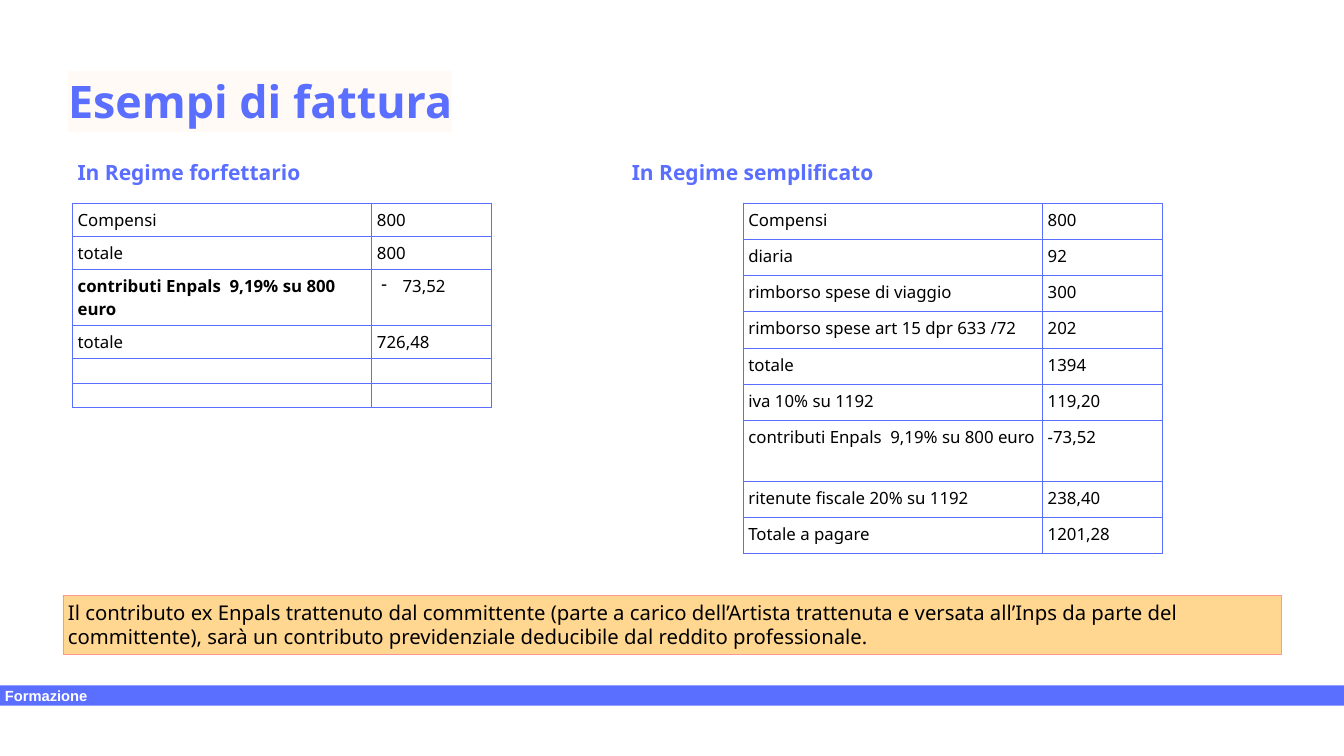
import pptx
import pptx.util
import pptx.dml.color
import pptx.enum.shapes
import pptx.enum.text
from dataclasses import dataclass
from lxml import etree
from pptx.oxml.ns import qn
from pptx.util import Inches


@dataclass(frozen=True)
class Theme:
    blue: str = "5A6EFF"
    black: str = "000000"
    white: str = "FFFFFF"
    highlight: str = "FFFAF5"
    note_fill: str = "FFD791"
    note_line: str = "FF9696"
    font: str = "Noto Sans"
    footer_font: str = "Arial"
    title_size: int = 64
    heading_size: int = 30
    note_size: int = 29
    table_size: int = 24
    footer_size: int = 21
    empty_size: int = 12


theme = Theme()
color = pptx.dml.color.RGBColor.from_string
anchors = pptx.enum.text.MSO_ANCHOR
rectangle = pptx.enum.shapes.MSO_SHAPE.RECTANGLE


def write(frame, text, size, ink, bold=False, font=theme.font, anchor=anchors.TOP):
    frame.word_wrap = True
    frame.auto_size = pptx.enum.text.MSO_AUTO_SIZE.NONE
    frame.vertical_anchor = anchor
    frame.margin_left = frame.margin_right = Inches(0.1)
    frame.margin_top = frame.margin_bottom = Inches(0.1)
    paragraph = frame.paragraphs[0]
    paragraph.alignment = pptx.enum.text.PP_ALIGN.LEFT
    run = paragraph.add_run()
    run.text = text
    run.font.size = pptx.util.Pt(size)
    run.font.bold = bold
    run.font.color.rgb = color(ink)
    run.font.name = font
    return run


def add_invoice(slide, left, rows):
    column_widths = [5.94, 2.38]
    total_height = sum(row[0] for row in rows)
    table = slide.shapes.add_table(
        len(rows), 2, Inches(left), Inches(4.03),
        Inches(sum(column_widths)), Inches(total_height),
    ).table
    table.first_row = table.horz_banding = False
    for column, width in zip(table.columns, column_widths):
        column.width = Inches(width)
    for row_index, (height, label, amount, bold) in enumerate(rows):
        table.rows[row_index].height = Inches(height)
        for column_index, text in enumerate([label, amount]):
            cell = table.cell(row_index, column_index)
            cell.margin_left = cell.margin_right = Inches(0.1)
            cell.margin_top = cell.margin_bottom = Inches(0.1)
            properties = cell._tc.get_or_add_tcPr()
            for side in ("a:lnL", "a:lnR", "a:lnT", "a:lnB"):
                border = etree.SubElement(properties, qn(side), w=str(pptx.util.Pt(1.5)))
                fill = etree.SubElement(border, qn("a:solidFill"))
                etree.SubElement(fill, qn("a:srgbClr"), val=theme.blue)
            cell.fill.background()
            paragraph = cell.text_frame.paragraphs[0]
            if not text:
                etree.SubElement(paragraph._p, qn("a:endParaRPr"), sz=str(theme.empty_size * 100))
                continue
            run = paragraph.add_run()
            run.text = text
            run.font.size = pptx.util.Pt(theme.table_size)
            run.font.name = theme.font
            run.font.color.rgb = color(theme.black)
            run.font.bold = bold and column_index == 0
    return table


presentation = pptx.Presentation()
presentation.slide_width = Inches(26.67)
presentation.slide_height = Inches(15)
slide = presentation.slides.add_slide(presentation.slide_layouts[5])

title = slide.shapes.title
title.left, title.top, title.width, title.height = [Inches(n) for n in (1.25, 1, 24.18, 1.83)]
title_run = write(title.text_frame, "Esempi di fattura", theme.title_size, theme.blue,
                  bold=True, anchor=anchors.MIDDLE)
title.text_frame.paragraphs[0].line_spacing = 1.15
highlight = etree.Element(qn("a:highlight"))
etree.SubElement(highlight, qn("a:srgbClr"), val=theme.highlight)
title_run.font._element.find(qn("a:solidFill")).addnext(highlight)

for left, text in [(1.44, "In Regime forfettario"), (12.44, "In Regime semplificato")]:
    heading = slide.shapes.add_textbox(Inches(left), Inches(3), Inches(9), Inches(0.9))
    write(heading.text_frame, text, theme.heading_size, theme.blue, bold=True)
    heading.text_frame.paragraphs[0].line_spacing = 1.15

flat_rate_table = add_invoice(slide, 1.44, [
    (0.66, "Compensi", "800", False),
    (0.66, "totale", "800", False),
    (1.1, "contributi Enpals  9,19% su 800 euro", "73,52", True),
    (0.66, "totale", "726,48", False),
    (0.48, "", "", False),
    (0.48, "", "", False),
])
deduction = flat_rate_table.cell(2, 1).text_frame.paragraphs[0]._p.get_or_add_pPr()
deduction.set("marL", str(Inches(0.51)))
deduction.set("indent", str(Inches(-0.42)))
etree.SubElement(deduction, qn("a:buChar"), char="-")

add_invoice(slide, 14.75, [
    (0.72, "Compensi", "800", False),
    (0.72, "diaria", "92", False),
    (0.72, "rimborso spese di viaggio", "300", False),
    (0.72, "rimborso spese art 15 dpr 633 /72", "202", False),
    (0.72, "totale", "1394", False),
    (0.72, "iva 10% su 1192", "119,20", False),
    (1.2, "contributi Enpals  9,19% su 800 euro", "-73,52", False),
    (0.72, "ritenute fiscale 20% su 1192", "238,40", False),
    (0.72, "Totale a pagare", "1201,28", False),
])

footer = slide.shapes.add_shape(rectangle, Inches(0), Inches(13.6), Inches(26.67), Inches(0.4))
footer.shadow.inherit = False
footer.fill.solid()
footer.fill.fore_color.rgb = color(theme.blue)
footer.line.fill.background()
write(footer.text_frame, "Formazione", theme.footer_size, theme.white,
      bold=True, font=theme.footer_font, anchor=anchors.MIDDLE)

note = slide.shapes.add_shape(rectangle, Inches(1.25), Inches(11.81), Inches(24.18), Inches(1.18))
note.shadow.inherit = False
note.fill.solid()
note.fill.fore_color.rgb = color(theme.note_fill)
note.line.color.rgb = color(theme.note_line)
note.line.width = pptx.util.Pt(0.75)
write(
    note.text_frame,
    "Il contributo ex Enpals trattenuto dal committente (parte a carico dell’Artista "
    "trattenuta e versata all’Inps da parte del committente), sarà un contributo "
    "previdenziale deducibile dal reddito professionale.",
    theme.note_size, theme.black,
)

presentation.save("out.pptx")
